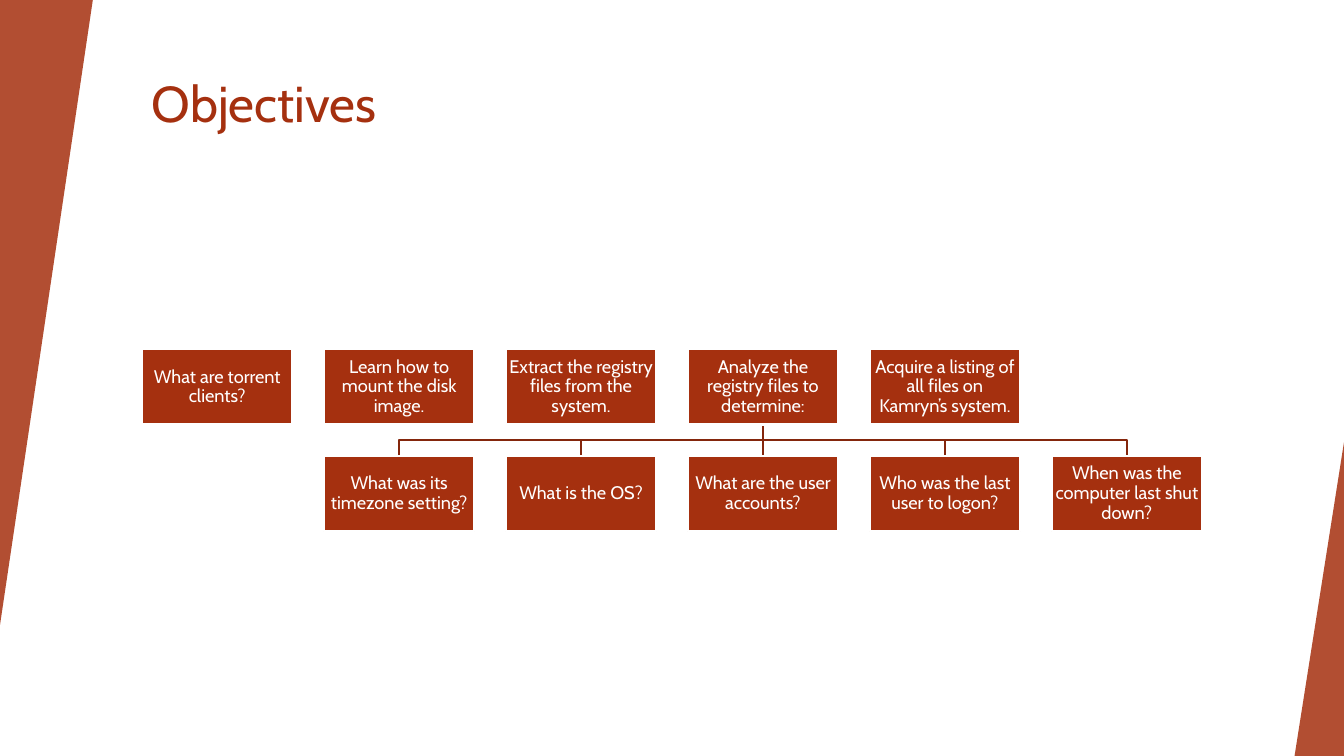
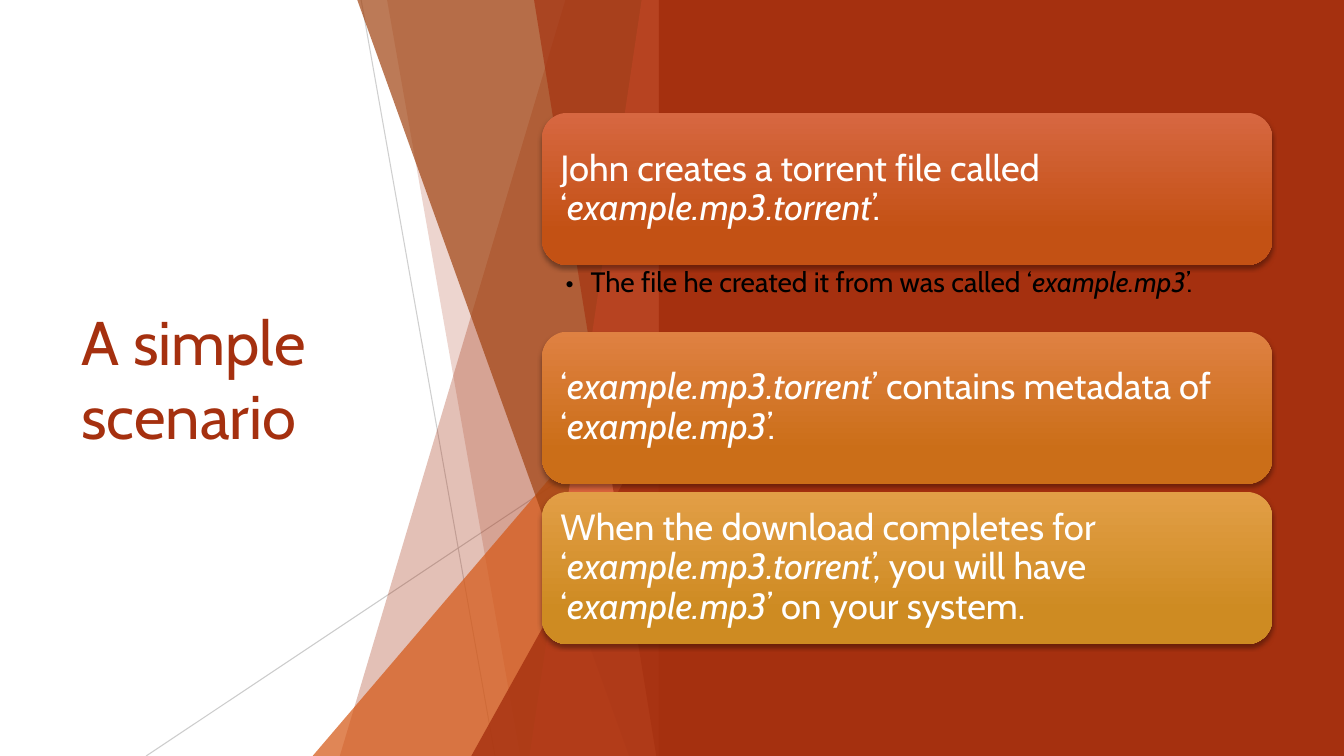
import lxml.etree
import pptx
import pptx.dml.color
import pptx.enum.shapes
import pptx.enum.text
import pptx.oxml.ns
import pptx.util

Pt = pptx.util.Pt
SHAPES = pptx.enum.shapes.MSO_SHAPE
CONNECTORS = pptx.enum.shapes.MSO_CONNECTOR
ANCHOR = pptx.enum.text.MSO_ANCHOR
ALIGN = pptx.enum.text.PP_ALIGN

WIDTH, HEIGHT = 960, 540
FONT = "Cabin"
RED, ORANGE, BROWN, CORAL = "A5300F", "D55816", "A04210", "EE6E4A"
WHITE, BLACK, GRAY, DARK_RED = "FFFFFF", "000000", "BFBFBF", "84260C"

OBJECTIVES = [
    "What are torrent clients?",
    "Learn how to mount the disk image.",
    "Extract the registry files from the system.",
    "Analyze the registry files to determine:",
    "Acquire a listing of all files on Kamryn’s system.",
]
QUESTIONS = [
    "What was its timezone setting?",
    "What is the OS?",
    "What are the user accounts?",
    "Who was the last user to logon?",
    "When was the computer last shut down?",
]
PARENT = 3
STEPS = [
    (80.6, "D76741", "C35114",
     "John creates a torrent file called ‘*example.mp3.torrent*’."),
    (236.9, "DF8142", "CB6E18",
     "‘*example.mp3.torrent*’ contains metadata of ‘*example.mp3*’."),
    (351.4, "E29E46", "CE8B22",
     "When the download completes for ‘*example.mp3.torrent*’, "
     "you will have ‘*example.mp3*’ on your system."),
]
STEP_LEFT, STEP_WIDTH, STEP_HEIGHT = 387.2, 521.6, 108.7
FACET_RIGHT = 479.6


def color(value):
    """Turn a hex string into a colour."""
    return pptx.dml.color.RGBColor.from_string(value)


def add_xml(parent, tag, **attributes):
    """Append a drawing element to a parent element."""
    name = pptx.oxml.ns.qn("a:" + tag)
    return lxml.etree.SubElement(parent, name, attributes)


def set_opacity(shape, percent):
    """Make every colour of a shape partly transparent."""
    name = pptx.oxml.ns.qn("a:srgbClr")
    for element in list(shape._element.spPr.iter(name)):
        add_xml(element, "alpha", val=str(percent * 1000))


def paint(shape, fill, opacity=100):
    """Give a shape a plain fill without line or shadow."""
    shape.shadow.inherit = False
    shape.fill.solid()
    shape.fill.fore_color.rgb = color(fill)
    shape.line.fill.background()
    if opacity < 100:
        set_opacity(shape, opacity)


def add_preset(page, kind, left, top, width, height):
    """Add a preset shape measured in points."""
    return page.shapes.add_shape(kind, Pt(left), Pt(top), Pt(width), Pt(height))


def add_right_triangle(page, left, top, width, height, fill, opacity):
    """Add a triangle with its apex above its right corner."""
    triangle = add_preset(page, SHAPES.ISOSCELES_TRIANGLE, left, top, width, height)
    triangle.adjustments[0] = 1
    paint(triangle, fill, opacity)
    return triangle


def add_facet(page, top_x, bottom_x, fill, opacity):
    """Add a slanted facet that reaches to the shared right edge."""
    builder = page.shapes.build_freeform(Pt(top_x), Pt(-0.6))
    corners = [(FACET_RIGHT, -0.6), (FACET_RIGHT, HEIGHT), (bottom_x, HEIGHT)]
    builder.add_line_segments([(Pt(x), Pt(y)) for x, y in corners])
    paint(builder.convert_to_shape(), fill, opacity)


def style_line(line, line_color, weight, opacity=100):
    """Give a connector its colour and weight, without a shadow."""
    line.line.color.rgb = color(line_color)
    line.line.width = Pt(weight)
    add_xml(line._element.spPr, "effectLst")
    if opacity < 100:
        set_opacity(line, opacity)


def add_thin_line(page, start, end, opacity):
    """Add a thin grey line between two points."""
    line = page.shapes.add_connector(
        CONNECTORS.STRAIGHT, Pt(start[0]), Pt(start[1]), Pt(end[0]), Pt(end[1]))
    style_line(line, GRAY, 0.75, opacity)


def set_margins(frame, left, top, right, bottom):
    """Set the wrapping and the four margins of a text frame."""
    frame.word_wrap = True
    frame.margin_left, frame.margin_top = Pt(left), Pt(top)
    frame.margin_right, frame.margin_bottom = Pt(right), Pt(bottom)


def write(paragraph, text, size, text_color):
    """Fill a paragraph, with text between asterisks in italics."""
    for index, part in enumerate(text.split("*")):
        span = paragraph.add_run()
        span.text = part
        span.font.name = FONT
        span.font.size = Pt(size)
        span.font.italic = index % 2 == 1
        span.font.color.rgb = color(text_color)


def add_text(page, left, top, width, height):
    """Add an empty text box measured in points."""
    return page.shapes.add_textbox(Pt(left), Pt(top), Pt(width), Pt(height))


def add_title(page, text, left, top, width, height, size, anchor):
    """Add a slide title."""
    frame = add_text(page, left, top, width, height).text_frame
    set_margins(frame, 7.2, 3.6, 7.2, 3.6)
    frame.vertical_anchor = anchor
    write(frame.paragraphs[0], text, size, RED)


def fill_label(box, text, size, margin, align):
    """Write white text into the middle of a shape."""
    frame = box.text_frame
    set_margins(frame, margin, margin, margin, margin)
    frame.vertical_anchor = ANCHOR.MIDDLE
    paragraph = frame.paragraphs[0]
    paragraph.alignment = align
    paragraph.line_spacing = 0.9
    write(paragraph, text, size, WHITE)


def add_box_row(page, texts, first_column, top):
    """Add a row of equally spaced boxes and return them."""
    boxes = []
    for column, text in enumerate(texts, first_column):
        box = add_preset(page, SHAPES.RECTANGLE,
                         101.4 + column * 129.95, top, 107.4, 53.7)
        paint(box, RED)
        box.line.color.rgb = color(WHITE)
        box.line.width = Pt(1.5)
        fill_label(box, text, 13, 0.7, ALIGN.CENTER)
        boxes.append(box)
    return boxes


def turn_elbow(elbow, across, down):
    """Turn an elbow connector so that it leaves its start downwards."""
    center_x = elbow.left + elbow.width // 2
    center_y = elbow.top + elbow.height // 2
    elbow.width, elbow.height = down, abs(across)
    elbow.left = center_x - down // 2
    elbow.top = center_y - abs(across) // 2
    frame = elbow._element.spPr.find(pptx.oxml.ns.qn("a:xfrm"))
    frame.set("rot", "16200000" if across > 0 else "5400000")
    frame.set("flipH", "1" if across > 0 else "0")


def add_branch(page, parent, child, front):
    """Join a parent box to a child box, behind the front box."""
    across = child.left - parent.left
    straight = abs(across) < Pt(1)
    kind = CONNECTORS.STRAIGHT if straight else CONNECTORS.ELBOW
    branch = page.shapes.add_connector(kind, 0, 0, 0, 0)
    branch.begin_connect(parent, 2)
    branch.end_connect(child, 0)
    if not straight:
        turn_elbow(branch, across, child.top - parent.top - parent.height)
    style_line(branch, DARK_RED, 1.5)
    front._element.addprevious(branch._element)


def add_facets(page):
    """Add the overlapping facets and thin lines."""
    add_thin_line(page, (258, 0), (353.6, HEIGHT), 75)
    add_thin_line(page, (FACET_RIGHT, 290), (104.4, HEIGHT), 80)
    add_facet(page, 404, 242.7, RED, 30)
    add_facet(page, 276.4, 371.7, RED, 20)
    add_right_triangle(page, 223.3, 240, FACET_RIGHT - 223.3, 300, ORANGE, 72)
    add_facet(page, 255, 449.4, BROWN, 70)
    add_facet(page, 458.4, 378.2, CORAL, 70)
    add_facet(page, 381.4, 468.8, RED, 65)
    add_right_triangle(page, 336.6, 282.7, FACET_RIGHT - 336.6, 257.3, RED, 80)


def add_step(page, top, light, dark, text):
    """Add a rounded step with a gradient and a soft shadow."""
    step = add_preset(page, SHAPES.ROUNDED_RECTANGLE,
                      STEP_LEFT, top, STEP_WIDTH, STEP_HEIGHT)
    paint(step, light)
    step.fill.gradient()
    step.fill.gradient_angle = 270
    for stop, position, shade in zip(step.fill.gradient_stops, (0, 0.78), (light, dark)):
        stop.position = position
        stop.color.rgb = color(shade)
    effects = step._element.spPr.find(pptx.oxml.ns.qn("a:effectLst"))
    shadow = add_xml(effects, "outerShdw", blurRad=str(Pt(3)), dist=str(Pt(2)),
                     dir="5400000", rotWithShape="0")
    add_xml(add_xml(shadow, "srgbClr", val=BLACK), "alpha", val="35000")
    fill_label(step, text, 26, 7.8, ALIGN.LEFT)


def add_bullet(page, text, top):
    """Add a bulleted remark below a step."""
    frame = add_text(page, STEP_LEFT, top, STEP_WIDTH, 47.6).text_frame
    set_margins(frame, 16.6, 2.6, 14.4, 2.6)
    paragraph = frame.paragraphs[0]
    paragraph.line_spacing = 0.9
    properties = paragraph._p.get_or_add_pPr()
    properties.set("marL", str(Pt(18)))
    properties.set("indent", str(Pt(-18)))
    add_xml(properties, "buFont", typeface=FONT)
    add_xml(properties, "buChar", char="•")
    paragraph.font.size = Pt(20)
    write(paragraph, text, 20, BLACK)


def build_objectives(page):
    """Build the slide with the tree of objectives."""
    add_title(page, "Objectives", 101.4, 48, 803, 86.4, 36, ANCHOR.TOP)
    corner = add_right_triangle(page, 0, 0, 66.3, 446.4, RED, 85)
    corner.rotation = 180
    add_right_triangle(page, WIDTH - 35.3, 316, 35.3, HEIGHT - 316, RED, 85)
    objectives = add_box_row(page, OBJECTIVES, 0, 249.6)
    questions = add_box_row(page, QUESTIONS, 1, 325.8)
    for question in reversed(questions):
        add_branch(page, objectives[PARENT], question, objectives[0])


def build_scenario(page):
    """Build the slide with the steps of the scenario."""
    add_title(page, "A simple scenario", 51, 108.7, 279.4, 322.6, 44, ANCHOR.MIDDLE)
    add_facets(page)
    panel = add_preset(page, SHAPES.RECTANGLE, 470.6, 0, WIDTH - 470.6, HEIGHT)
    paint(panel, RED)
    for step in STEPS:
        add_step(page, *step)
    add_bullet(page, "The file he created it from was called ‘*example.mp3*’.",
               STEPS[0][0] + STEP_HEIGHT)


def main():
    """Build and save the deck."""
    deck = pptx.Presentation()
    deck.slide_width, deck.slide_height = Pt(WIDTH), Pt(HEIGHT)
    for build in (build_objectives, build_scenario):
        build(deck.slides.add_slide(deck.slide_layouts[6]))
    deck.save("out.pptx")


if __name__ == "__main__":
    main()
